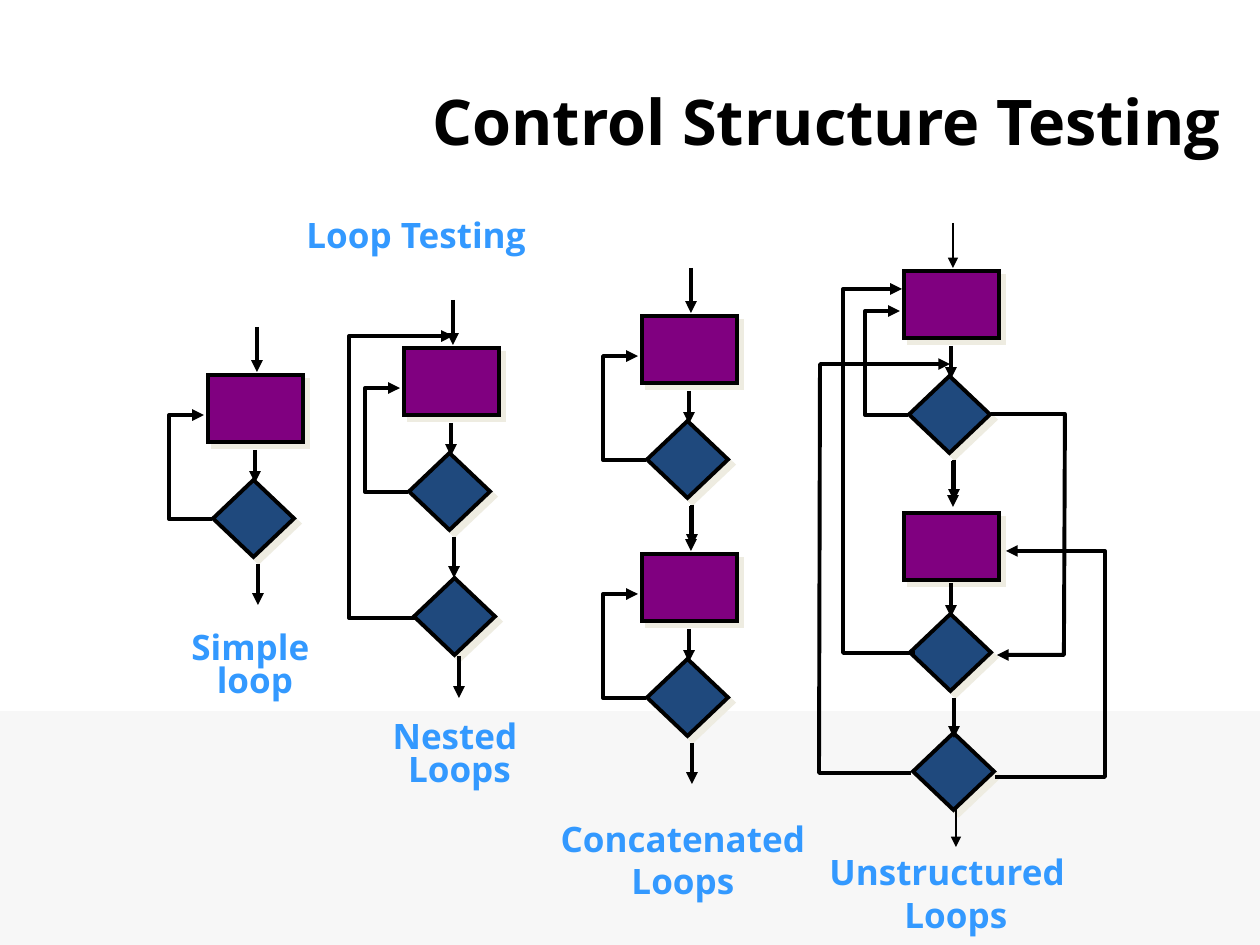
"""Build the loop testing slide: four kinds of loops drawn as small flow charts."""
from dataclasses import dataclass

from lxml import etree
from pptx import Presentation, util as u
from pptx.dml.color import RGBColor
from pptx.enum import shapes, text
from pptx.oxml import parse_xml
from pptx.oxml.ns import nsdecls, qn

PX = u.Inches(1) / 126
BLACK, BLUE, PURPLE, NAVY = "000000", "3399FF", "800080", "1F497D"
BOX, GEM = shapes.MSO_SHAPE.RECTANGLE, shapes.MSO_SHAPE.DIAMOND
MID, TOP = text.MSO_ANCHOR.MIDDLE, text.MSO_ANCHOR.TOP
LEFT, MIDDLE = text.PP_ALIGN.LEFT, text.PP_ALIGN.CENTER
SHADE = (
    f'<a:effectLst {nsdecls("a")}><a:outerShdw dist="53340" dir="2700000" '
    'algn="ctr" rotWithShape="0"><a:srgbClr val="EEECE1"/></a:outerShdw></a:effectLst>'
)


@dataclass
class Label:
    """A text box with its place and paragraph format."""
    lines: list[str]
    at: tuple[int, int, int, int]
    align: int = MIDDLE
    space: float = 1.0
    size: int = 20
    color: str = BLUE
    anchor: int = TOP
    grow: bool = True


@dataclass
class Loop:
    """A box and a diamond with a path back; x, y is the box corner."""
    x: int
    y: int
    width: float = 2.25


@dataclass
class Line:
    """A straight arrow."""
    x: int
    top: int
    end: int
    width: float = 2.25


LABELS = [
    Label(["Control Structure Testing"], (420, 42, 840, 157), LEFT, 1.0, 36, BLACK, MID, False),
    Label(["Loop Testing"], (294, 200, 656, 69), LEFT, anchor=MID, grow=False),
    Label(["Nested ", "Loops"], (380, 716, 159, 79), space=0.8),
    Label(["Concatenated", "Loops"], (543, 811, 280, 96)),
    Label(["Unstructured"], (817, 844, 325, 54), LEFT),
    Label(["Loops"], (892, 887, 160, 54), LEFT),
    Label(["Simple ", "loop"], (179, 627, 152, 79), space=0.8),
]
LOOPS = [Loop(208, 375), Loop(404, 348), Loop(642, 316), Loop(642, 554), Loop(904, 271, 1)]
PARTS = [(BOX, 904, 513), (GEM, 910, 614), (GEM, 414, 578), (GEM, 913, 733)]
LINES = [
    Line(459, 656, 698), Line(953, 461, 507), Line(951, 583, 617),
    Line(954, 698, 738), Line(956, 806, 847, 1),
]
PATHS = [
    [(415, 618), (349, 618), (349, 336), (453, 336)],
    [(915, 653), (843, 653), (843, 289), (902, 289)],
    [(991, 414), (1065, 414), (1064, 655), (997, 655)],
    [(995, 777), (1105, 777), (1105, 551), (1006, 551)],
    [(911, 773), (819, 773), (820, 364), (950, 364)],
]


def emu(*px: int) -> list[int]:
    """Turn pixels into EMU."""
    return [round(n * PX) for n in px]


def rgb(code: str) -> RGBColor:
    """Turn a hex string into a colour."""
    return RGBColor.from_string(code)


def put(item, values: dict) -> None:
    """Set attributes from a dict of format values."""
    for key, val in values.items():
        setattr(item, key, val)


def stroke(shape, width: float = 2.25) -> None:
    """Give a shape a solid black line."""
    shape.line.color.rgb = rgb(BLACK)
    shape.line.width = u.Pt(width)


def tip(shape) -> None:
    """Put an arrowhead at the end of a line."""
    etree.SubElement(shape.get_or_add_ln(), qn("a:tailEnd"), type="triangle")


def label(slide, spec: Label) -> None:
    """Draw one text box."""
    frame = slide.shapes.add_textbox(*emu(*spec.at)).text_frame
    fit = text.MSO_AUTO_SIZE.SHAPE_TO_FIT_TEXT if spec.grow else text.MSO_AUTO_SIZE.NONE
    put(frame, {"word_wrap": True, "auto_size": fit, "vertical_anchor": spec.anchor})
    for i, line in enumerate(spec.lines):
        para = frame.add_paragraph() if i else frame.paragraphs[0]
        put(para, {"text": line, "alignment": spec.align, "line_spacing": spec.space})
        put(para.font, {"name": "Open Sans", "size": u.Pt(spec.size), "bold": True})
        para.font.color.rgb = rgb(spec.color)


def node(slide, kind: int, x: int, y: int) -> None:
    """Draw a purple box or a blue diamond with its shadow."""
    size, color = ((95, 67), PURPLE) if kind == BOX else ((81, 77), NAVY)
    shape = slide.shapes.add_shape(kind, *emu(x, y, *size))
    shape.fill.solid()
    shape.fill.fore_color.rgb = rgb(color)
    stroke(shape)
    etree.SubElement(shape.get_or_add_ln(), qn("a:miter"), lim="800000")
    shape.element.spPr.append(parse_xml(SHADE))


def arrow(slide, line: Line) -> None:
    """Draw an arrow pointing down."""
    ends = emu(line.x, line.top, line.x, line.end)
    shape = slide.shapes.add_connector(shapes.MSO_CONNECTOR.STRAIGHT, *ends)
    stroke(shape, line.width)
    tip(shape)
    etree.SubElement(shape.element.spPr, qn("a:effectLst"))


def route(slide, points: list[tuple[int, int]]) -> None:
    """Draw a bent arrow through the points."""
    pen = slide.shapes.build_freeform(*points[0], scale=PX)
    pen.add_line_segments(points[1:], close=False)
    shape = pen.convert_to_shape()
    shape.fill.background()
    shape.shadow.inherit = False
    stroke(shape)
    tip(shape)


def cycle(slide, loop: Loop) -> None:
    """Draw a whole loop with its way in and out."""
    x, y = loop.x, loop.y
    node(slide, BOX, x, y)
    node(slide, GEM, x + 5, y + 105)
    arrow(slide, Line(x + 49, y - 48, y - 3, loop.width))
    arrow(slide, Line(x + 47, y + 75, y + 108))
    arrow(slide, Line(x + 50, y + 189, y + 230))
    route(slide, [(x + 4, y + 144), (x - 39, y + 144), (x - 39, y + 40), (x - 4, y + 40)])


def main() -> None:
    """Build and save the slide."""
    deck = Presentation()
    put(deck, {"slide_width": u.Inches(10), "slide_height": u.Inches(7.5)})
    slide = deck.slides.add_slide(deck.slide_layouts[6])
    band = slide.shapes.add_shape(BOX, *emu(0, 711, 1260, 234))
    band.fill.solid()
    band.fill.fore_color.rgb = rgb("F7F7F7")
    band.line.fill.background()
    band.shadow.inherit = False
    for spec in LABELS:
        label(slide, spec)
    for loop in LOOPS:
        cycle(slide, loop)
    for part in PARTS:
        node(slide, *part)
    for line in LINES:
        arrow(slide, line)
    for points in PATHS:
        route(slide, points)
    deck.save("out.pptx")


if __name__ == "__main__":
    main()
